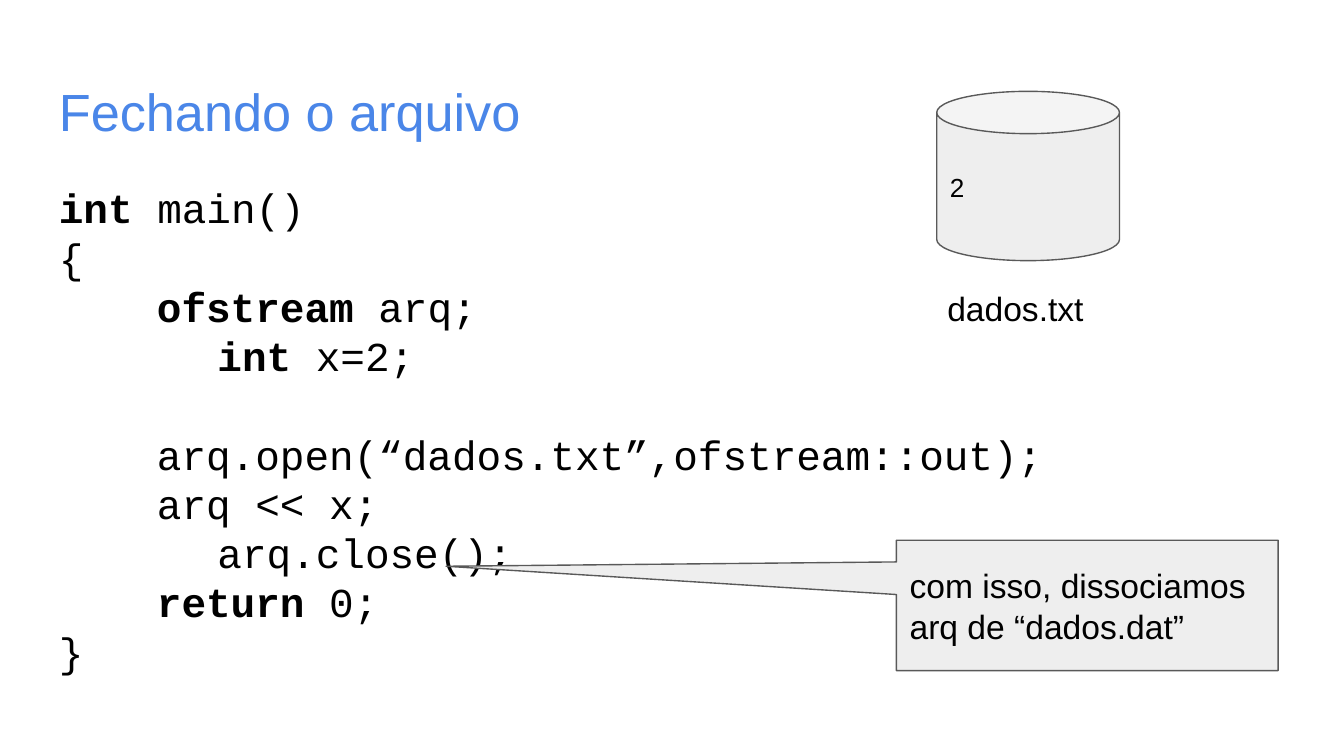
import dataclasses

import pptx
import pptx.dml.color
import pptx.enum.shapes
import pptx.enum.text
import pptx.util

Inches = pptx.util.Inches
Pt = pptx.util.Pt
MSO_SHAPE = pptx.enum.shapes.MSO_SHAPE
MSO_ANCHOR = pptx.enum.text.MSO_ANCHOR


@dataclasses.dataclass(frozen=True)
class Theme:
    accent: str = "4A86E8"
    ink: str = "000000"
    fill: str = "EEEEEE"
    outline: str = "595959"
    sans: str = "Arial"
    mono: str = "Courier New"
    title_size: float = 28
    code_size: float = 22
    code_pitch: float = 26.4
    label_size: float = 18
    content_size: float = 14
    inset: float = 0.1


THEME = Theme()
BLOCK_INDENT = 0.73
TAB_INDENT = 1.18

CODE_LINES = [
    (0, [("int", True), (" main()", False)]),
    (0, [("{", False)]),
    (BLOCK_INDENT, [("ofstream ", True), ("arq;", False)]),
    (TAB_INDENT, [("int ", True), ("x=2;", False)]),
    (0, []),
    (BLOCK_INDENT, [("arq.open(“dados.txt”,ofstream::out);", False)]),
    (BLOCK_INDENT, [("arq << x;", False)]),
    (TAB_INDENT, [("arq.close();", False)]),
    (BLOCK_INDENT, [("return ", True), ("0;", False)]),
    (0, [("}", False)]),
]


def color(value):
    return pptx.dml.color.RGBColor.from_string(value)


def format_text(target, text, size=THEME.label_size, font=THEME.sans, ink=THEME.ink, bold=False):
    run = target.add_run()
    run.text = text
    run.font.size = Pt(size)
    run.font.name = font
    run.font.bold = bold
    run.font.color.rgb = color(ink)


def prepare_frame(shape, anchor=MSO_ANCHOR.TOP):
    frame = shape.text_frame
    frame.word_wrap = True
    frame.vertical_anchor = anchor
    frame.margin_left = frame.margin_right = Inches(THEME.inset)
    frame.margin_top = frame.margin_bottom = Inches(THEME.inset)
    frame.paragraphs[0].alignment = pptx.enum.text.PP_ALIGN.LEFT
    return frame


def add_text_box(shapes, box):
    return prepare_frame(shapes.add_textbox(*map(Inches, box)))


def add_filled_shape(shapes, kind, box, adjustments, text, **text_format):
    shape = shapes.add_shape(kind, *map(Inches, box))
    for index, value in enumerate(adjustments):
        shape.adjustments[index] = value
    shape.shadow.inherit = False
    shape.fill.solid()
    shape.fill.fore_color.rgb = color(THEME.fill)
    shape.line.color.rgb = color(THEME.outline)
    shape.line.width = Pt(0.75)
    frame = prepare_frame(shape, anchor=MSO_ANCHOR.MIDDLE)
    format_text(frame.paragraphs[0], text, **text_format)


def add_title(slide, box):
    frame = add_text_box(slide.shapes, box)
    format_text(frame.paragraphs[0], "Fechando o arquivo", size=THEME.title_size, ink=THEME.accent)


def add_code(slide, box):
    frame = add_text_box(slide.shapes, box)
    for index, (indent, pieces) in enumerate(CODE_LINES):
        paragraph = frame.add_paragraph() if index else frame.paragraphs[0]
        paragraph.line_spacing = Pt(THEME.code_pitch)
        paragraph.font.size = Pt(THEME.code_size)
        properties = paragraph._p.get_or_add_pPr()
        properties.set("marL", str(Inches(indent)))
        properties.set("indent", "0")
        for text, bold in pieces:
            format_text(paragraph, text, size=THEME.code_size, font=THEME.mono, bold=bold)


def add_data_file(slide, box):
    left, top, width, height = box
    group = slide.shapes.add_group_shape()
    add_filled_shape(group.shapes, MSO_SHAPE.CAN, (left + 0.02, top, width, 1.26), [0.25],
                     "2", size=THEME.content_size)
    label_height = 0.48
    frame = add_text_box(group.shapes, (left, top + height - label_height, width, label_height))
    format_text(frame.paragraphs[0], "dados.txt")


def add_callout(slide, box):
    add_filled_shape(slide.shapes, MSO_SHAPE.RECTANGULAR_CALLOUT, box, [-1.68, -0.3],
                     "com isso, dissociamos arq de “dados.dat”")


def build_slide(presentation):
    slide = presentation.slides.add_slide(presentation.slide_layouts[6])
    add_title(slide, (0.34, 0.49, 9.32, 0.63))
    add_code(slide, (0.34, 1.26, 8.54, 3.74))
    add_data_file(slide, (6.95, 0.68, 1.36, 1.84))
    add_callout(slide, (6.67, 4.02, 2.84, 0.97))


presentation = pptx.Presentation()
presentation.slide_width = Inches(10)
presentation.slide_height = presentation.slide_width * 9 // 16
build_slide(presentation)
presentation.save("out.pptx")
